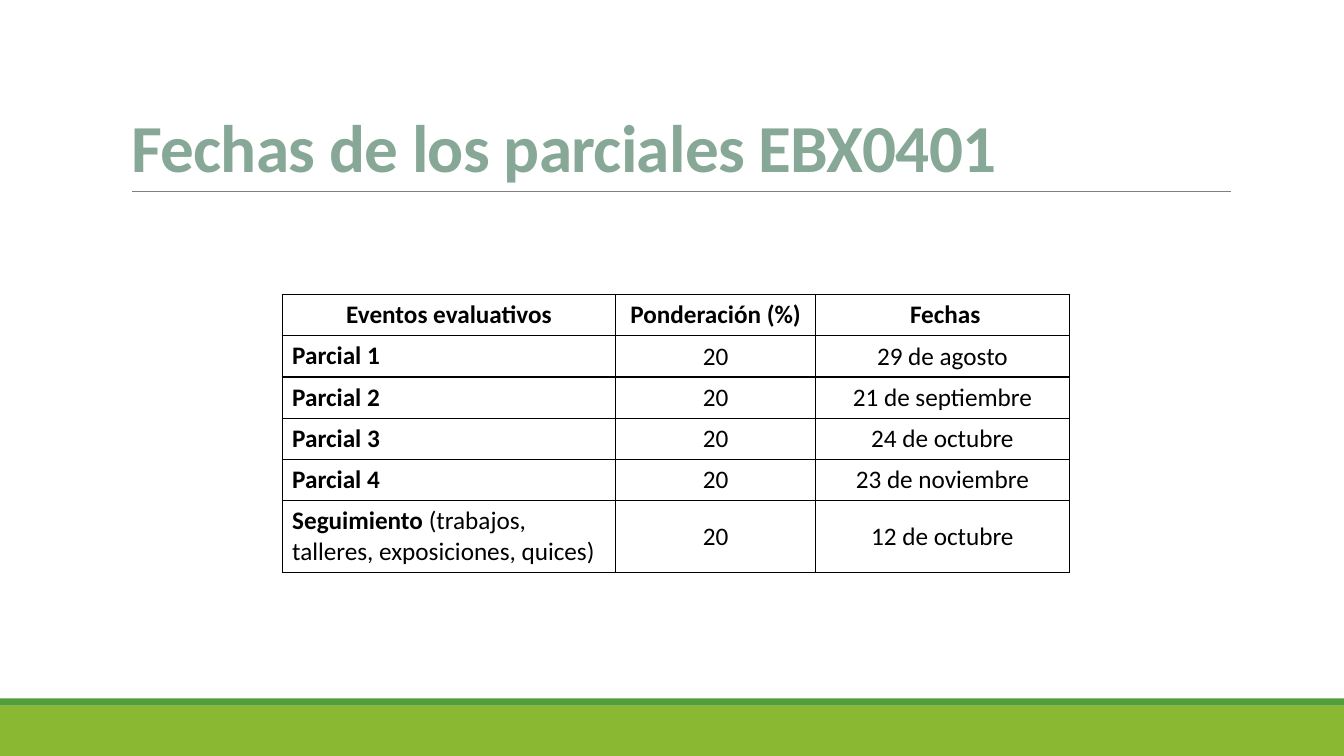
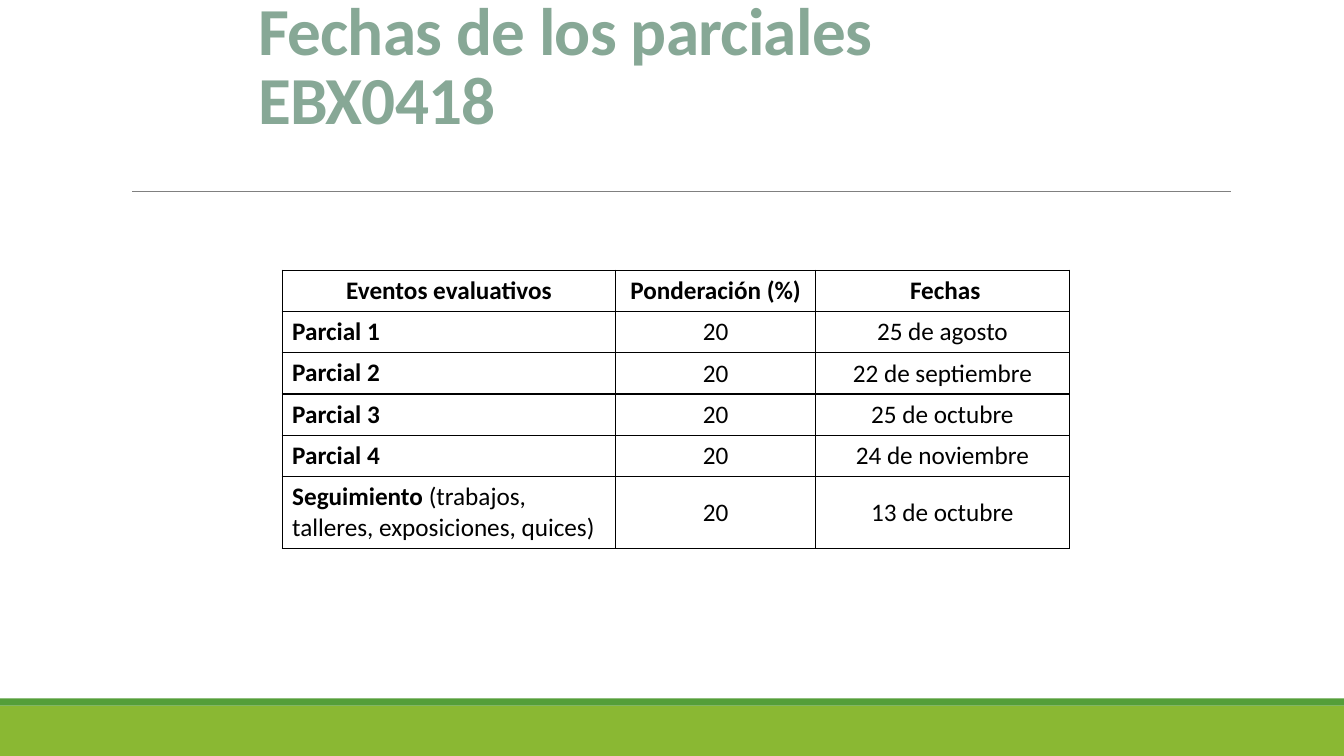
from pptx import Presentation
from pptx.dml.color import RGBColor
from pptx.enum.shapes import MSO_CONNECTOR, MSO_SHAPE
from pptx.enum.text import MSO_ANCHOR, MSO_AUTO_SIZE, PP_ALIGN
from pptx.oxml.ns import qn
from pptx.util import Cm, Pt
from lxml import etree

RECT, STRAIGHT = MSO_SHAPE.RECTANGLE, MSO_CONNECTOR.STRAIGHT
TOP, MIDDLE, BOTTOM = MSO_ANCHOR.TOP, MSO_ANCHOR.MIDDLE, MSO_ANCHOR.BOTTOM
LEFT, CENTER = PP_ALIGN.LEFT, PP_ALIGN.CENTER
NO_FIT = MSO_AUTO_SIZE.NONE
TITLE_ONLY = 5
WIDTH, HEIGHT = 33.87, 19.05
COLORS = {"title": "87A896", "text": "000000", "rule": "808080"}
BANDS = [(17.78, 1.27, "8AB833"), (17.6, 0.18, "549E39")]
COLUMNS = [8.41, 5.03, 6.4]
ROW_HEIGHT = 1.04
TABLE_LEFT = 7.11
WEIGHT = "20"


def rgb(value):
    """Turn a hex string into a colour."""
    return RGBColor.from_string(value)


def assign(target, values):
    """Set attributes from a dict of format values."""
    for name, value in values.items():
        setattr(target, name, value)


class Deck:
    """Holds the shared style and the current slide."""

    font = "Calibri"

    def __init__(self):
        """Start an empty wide presentation."""
        self.prs = Presentation()
        assign(self.prs, {"slide_width": Cm(WIDTH), "slide_height": Cm(HEIGHT)})
        self.s = None

    def slide(self, title, box):
        """Add a slide with its bands, rule and title."""
        self.s = self.prs.slides.add_slide(self.prs.slide_layouts[TITLE_ONLY])
        for top, height, color in BANDS:
            self.band(top, height, color)
        self.rule(3.33, 31.01, 4.83)
        self.title(title, box)

    def band(self, top, height, color):
        """Draw a full-width band."""
        sp = self.s.shapes.add_shape(RECT, 0, Cm(top), Cm(WIDTH), Cm(height))
        sp.shadow.inherit = False
        sp.fill.solid()
        sp.fill.fore_color.rgb = rgb(color)
        sp.line.fill.background()

    def rule(self, left, right, y):
        """Draw a thin horizontal line."""
        line = self.s.shapes.add_connector(STRAIGHT, Cm(left), Cm(y), Cm(right), Cm(y))
        line.line.color.rgb = rgb(COLORS["rule"])
        line.line.width = Pt(0.5)
        etree.SubElement(line._element.spPr, qn("a:effectLst"))

    def run(self, p, text, size, color, bold):
        """Add a formatted run to a paragraph."""
        r = p.add_run()
        r.text = text
        assign(r.font, {"name": self.font, "size": Pt(size), "bold": bold})
        r.font.color.rgb = rgb(color)
        return r

    def title(self, text, box):
        """Place and format the title placeholder."""
        sp = self.s.shapes.title
        assign(sp, dict(zip(("left", "top", "width", "height"), map(Cm, box))))
        tf = sp.text_frame
        assign(tf, {"word_wrap": True, "auto_size": NO_FIT, "vertical_anchor": BOTTOM})
        p = tf.paragraphs[0]
        assign(p, {"alignment": LEFT, "line_spacing": 0.85})
        r = self.run(p, text, 48, COLORS["title"], True)
        r.font._element.set("spc", "-50")

    def borders(self, cell):
        """Give a cell a black line on every side."""
        tc_pr = cell._tc.get_or_add_tcPr()
        for side in ("lnL", "lnR", "lnT", "lnB"):
            ln = etree.SubElement(tc_pr, qn(f"a:{side}"), w=str(Pt(1)))
            fill = etree.SubElement(ln, qn("a:solidFill"))
            etree.SubElement(fill, qn("a:srgbClr"), val=COLORS["text"])

    def cell(self, cell, runs, align, anchor):
        """Fill one cell with (text, bold) runs."""
        self.borders(cell)
        cell.fill.background()
        cell.vertical_anchor = anchor
        p = cell.text_frame.paragraphs[0]
        p.alignment = align
        for text, bold in runs:
            self.run(p, text, 18, COLORS["text"], bold)

    def table(self, top, rows):
        """Add a table with a bold header row and a left-aligned first column."""
        frame = self.s.shapes.add_table(
            len(rows), len(COLUMNS), Cm(TABLE_LEFT), Cm(top),
            Cm(sum(COLUMNS)), Cm(ROW_HEIGHT * len(rows)))
        table = frame.table
        assign(table, {"first_row": False, "horz_banding": False})
        for column, width in zip(table.columns, COLUMNS):
            column.width = Cm(width)
        for i, row in enumerate(rows):
            table.rows[i].height = Cm(ROW_HEIGHT)
            for j, runs in enumerate(row):
                align = LEFT if i and j == 0 else CENTER
                anchor = MIDDLE if i and j else TOP
                self.cell(table.cell(i, j), runs, align, anchor)


HEADER = [[(name, True)] for name in ("Eventos evaluativos", "Ponderación (%)", " Fechas")]
EVENTS = [[(f"Parcial {n}", True)] for n in range(1, 5)]
EVENTS.append([("Seguimiento", True), (" (trabajos, talleres, exposiciones, quices)", False)])

COURSES = [
    ("EBX0401", (3.05, 0.79, 27.94, 4.04), 7.42,
     ["29 de agosto", "21 de septiembre", "24 de octubre", "23 de noviembre", "12 de octubre"]),
    ("EBX0418", (6.25, 1.09, 21.56, 2.51), 6.81,
     ["25 de agosto", "22 de septiembre", "25 de octubre", "24 de noviembre", "13 de octubre"]),
]

deck = Deck()
for course, title_box, table_top, dates in COURSES:
    deck.slide(f"Fechas de los parciales {course}", title_box)
    body = [[event, [(WEIGHT, False)], [(date, False)]] for event, date in zip(EVENTS, dates)]
    deck.table(table_top, [HEADER] + body)
deck.prs.save("out.pptx")
